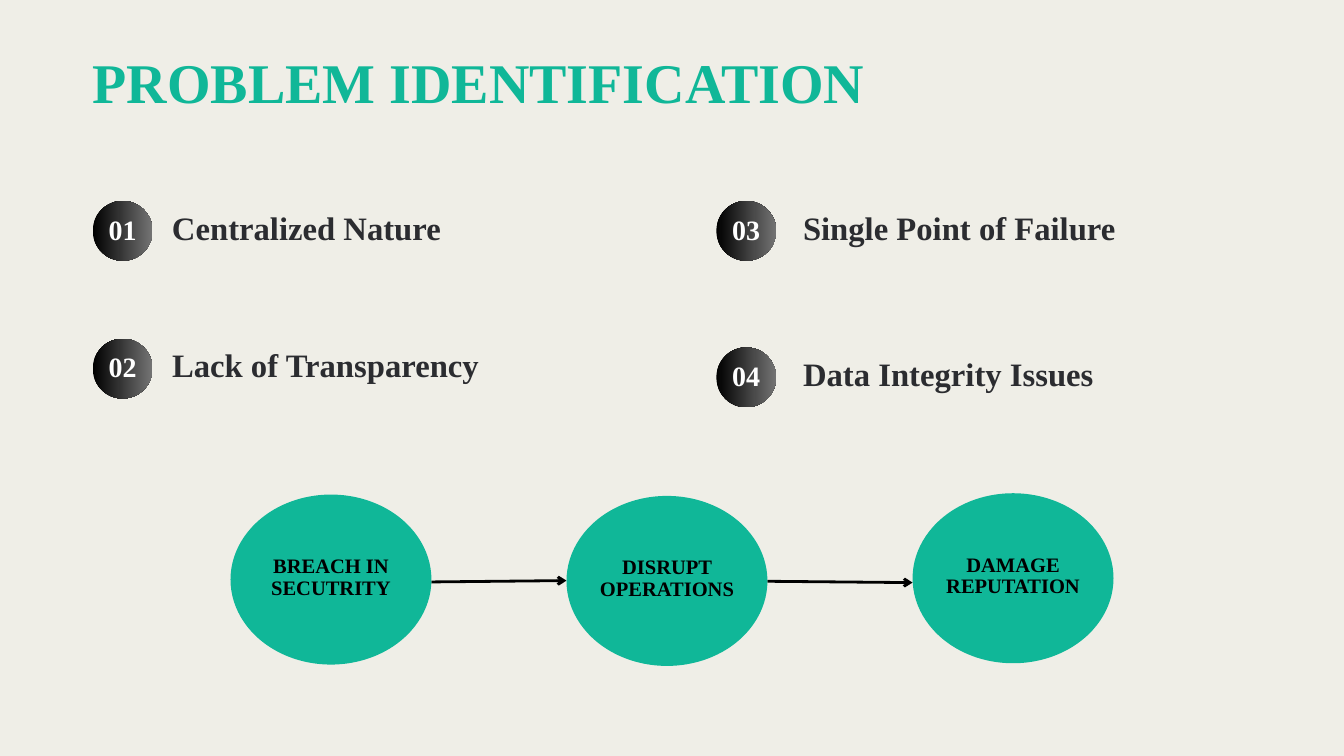
from lxml import etree
from pptx import Presentation, util as u
from pptx.dml.color import RGBColor
from pptx.enum import shapes, text
from pptx.oxml.ns import qn

# Content
TITLE = "PROBLEM IDENTIFICATION"
# number, label, column, top, label width
PROBLEMS = [
    ("01", "Centralized Nature", 0, 2.99, 9.84),
    ("02", "Lack of Transparency", 0, 5.04, 5.59),
    ("03", "Single Point of Failure", 1, 2.99, 6.24),
    ("04", "Data Integrity Issues", 1, 5.17, 5.82),
]
# label, left, top
CONSEQUENCES = [
    ("BREACH IN SECUTRITY", 3.43, 7.36),
    ("DISRUPT OPERATIONS", 8.43, 7.38),
    ("DAMAGE REPUTATION", 13.58, 7.34),
]
ARROW_HEIGHTS = [(8.66, 8.64), (8.65, 8.67)]

# Layout, in inches
BADGE_LEFT = [1.38, 10.66]
LABEL_LEFT = [2.56, 11.95]
BADGE = 0.89
OVAL_WIDTH, OVAL_HEIGHT = 2.99, 2.53

FONT = "Times New Roman"
GREEN, BLACK, GRAY, INK, WHITE = "10B798", "000000", "737373", "2B2C30", "FFFFFF"
BACKGROUND = "EFEEE7"


def color(value):
    return RGBColor.from_string(value)


def write(shape, content, size, spacing, ink, align=text.PP_ALIGN.LEFT,
          anchor=text.MSO_ANCHOR.TOP, bottom=0):
    frame = shape.text_frame
    frame.word_wrap = True
    frame.auto_size = text.MSO_AUTO_SIZE.NONE
    frame.vertical_anchor = anchor
    frame.margin_left = frame.margin_right = frame.margin_top = 0
    frame.margin_bottom = u.Inches(bottom)
    paragraph = frame.paragraphs[0]
    paragraph.alignment = align
    paragraph.line_spacing = u.Pt(spacing)
    paragraph.space_before = u.Pt(0)
    run = paragraph.add_run()
    run.text = content
    run.font.name, run.font.size, run.font.bold = FONT, u.Pt(size), True
    run.font.color.rgb = color(ink)


def add_oval(slide, left, top, width, height, fills):
    shape = slide.shapes.add_shape(
        shapes.MSO_SHAPE.OVAL, *map(u.Inches, (left, top, width, height)))
    shape.shadow.inherit = False
    shape.line.fill.background()
    if len(fills) == 1:
        shape.fill.solid()
        shape.fill.fore_color.rgb = color(fills[0])
    else:
        shape.fill.gradient()
        shape.fill.gradient_angle = 0
        for stop, value in zip(shape.fill.gradient_stops, fills):
            stop.color.rgb = color(value)
    return shape


def add_arrow(slide, *ends):
    arrow = slide.shapes.add_connector(
        shapes.MSO_CONNECTOR.STRAIGHT, *map(u.Inches, ends))
    arrow.line.color.rgb = color(BLACK)
    arrow.line.width = u.Pt(3)
    etree.SubElement(arrow.line._get_or_add_ln(), qn("a:tailEnd"), type="arrow")
    etree.SubElement(arrow._element.spPr, qn("a:effectLst"))


def main():
    presentation = Presentation()
    presentation.slide_width = u.Inches(20)
    presentation.slide_height = u.Inches(11.25)
    slide = presentation.slides.add_slide(presentation.slide_layouts[5])
    slide.background.fill.solid()
    slide.background.fill.fore_color.rgb = color(BACKGROUND)

    # Title
    title = slide.shapes.title
    title.left, title.top = u.Inches(1.38), u.Inches(0.71)
    title.width, title.height = u.Inches(14.38), u.Inches(1.14)
    write(title, TITLE, 60, 72, GREEN)

    centered = {"align": text.PP_ALIGN.CENTER, "anchor": text.MSO_ANCHOR.MIDDLE}

    # Numbered problems in two columns
    for number, label, column, top, width in PROBLEMS:
        badge = add_oval(slide, BADGE_LEFT[column], top, BADGE, BADGE, [BLACK, GRAY])
        write(badge, number, 30, 31.8, WHITE, **centered)
        box = slide.shapes.add_textbox(
            *map(u.Inches, (LABEL_LEFT[column], top, width, 0.74)))
        write(box, label, 35, 49, INK)

    # Arrows between neighbouring consequences
    for before, after, (start, end) in zip(CONSEQUENCES, CONSEQUENCES[1:], ARROW_HEIGHTS):
        add_arrow(slide, before[1] + OVAL_WIDTH, start, after[1], end)

    # Chain of consequences
    for label, left, top in CONSEQUENCES:
        oval = add_oval(slide, left, top, OVAL_WIDTH, OVAL_HEIGHT, [GREEN])
        write(oval, label, 22, 23.3, BLACK, bottom=0.06, **centered)

    presentation.save("out.pptx")


if __name__ == "__main__":
    main()
